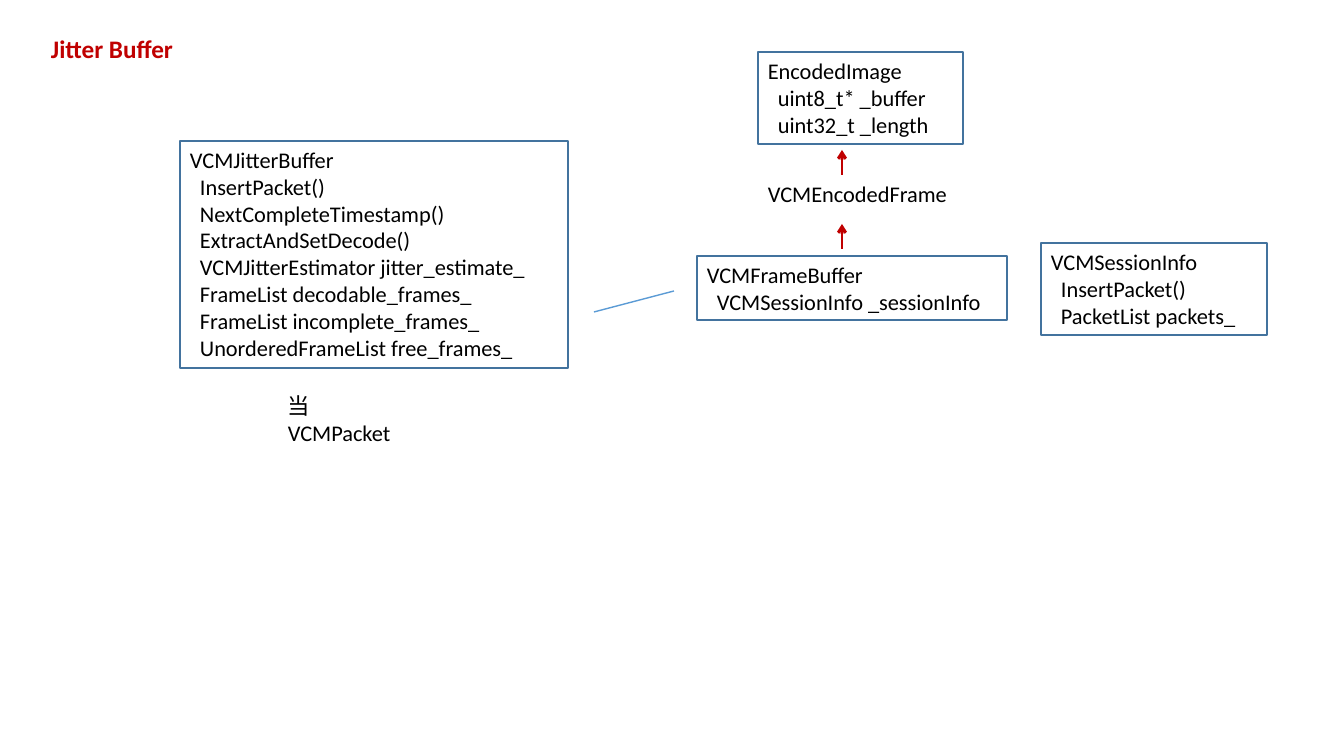
from dataclasses import dataclass

from lxml import etree
from pptx import Presentation
from pptx import util as u
from pptx.dml.color import RGBColor
from pptx.enum import shapes, text
from pptx.oxml import ns

SCALE = 914400 / 100.8  # EMU in one px


def px(length):
    return u.Emu(round(length * SCALE))


@dataclass(frozen=True)
class Theme:
    font: str = "Calibri"
    ink: str = "000000"
    accent: str = "C00000"
    outline: str = "43739E"
    link: str = "5B9BD5"
    body: int = 16
    title: int = 18
    thin: int = 1
    thick: int = 2
    indent: int = 10
    tab: int = 172


class ClassDiagram:
    def __init__(self, page, theme):
        self.page, self.theme = page, theme

    def fill_text(self, shape, lines, **changes):
        """First line is the heading; the others are indented members."""
        frame = shape.text_frame
        settings = {"word_wrap": True, "vertical_anchor": text.MSO_ANCHOR.TOP,
                    "auto_size": text.MSO_AUTO_SIZE.SHAPE_TO_FIT_TEXT}
        for name, value in settings.items():
            setattr(frame, name, value)
        look = {"name": self.theme.font, "size": self.theme.body,
                "bold": False, "color": self.theme.ink} | changes
        look["size"] = u.Pt(look["size"])
        color = RGBColor.from_string(look.pop("color"))
        frame.text = "\n".join(lines)
        for number, para in enumerate(frame.paragraphs):
            para.alignment = text.PP_ALIGN.LEFT
            if number:
                self.indent(para)
            for span in para.runs:
                for name, value in look.items():
                    setattr(span.font, name, value)
                span.font.color.rgb = color

    def indent(self, para):
        props = para._p.get_or_add_pPr()
        props.set("marL", str(px(self.theme.indent)))
        props.set("indent", "0")
        if "\t" in para.text:
            stops = etree.SubElement(props, ns.qn("a:tabLst"))
            etree.SubElement(stops, ns.qn("a:tab"), pos=str(px(self.theme.tab)), algn="l")

    def class_box(self, area, lines):
        box = self.page.shapes.add_shape(shapes.MSO_SHAPE.RECTANGLE, *map(px, area))
        box.shadow.inherit = False
        box.fill.background()
        box.line.color.rgb = RGBColor.from_string(self.theme.outline)
        box.line.width = u.Pt(self.theme.thin)
        self.fill_text(box, lines)

    def label(self, area, line, **changes):
        self.fill_text(self.page.shapes.add_textbox(*map(px, area)), [line], **changes)

    def line(self, ends, color, width, arrow=False):
        link = self.page.shapes.add_connector(shapes.MSO_CONNECTOR.STRAIGHT, *map(px, ends))
        link.line.color.rgb = RGBColor.from_string(color)
        link.line.width = u.Pt(width)
        props = link._element.spPr
        if arrow:
            etree.SubElement(props.find(ns.qn("a:ln")), ns.qn("a:tailEnd"), type="arrow")
        etree.SubElement(props, ns.qn("a:effectLst"))


def main():
    deck = Presentation()
    deck.slide_width, deck.slide_height = px(1344), px(756)
    theme = Theme()
    diagram = ClassDiagram(deck.slides.add_slide(deck.slide_layouts[6]), theme)

    # Classes and their members
    classes = [
        ((180, 141, 388, 227), [
            "VCMJitterBuffer", "InsertPacket()", "NextCompleteTimestamp()",
            "ExtractAndSetDecode()", "VCMJitterEstimator jitter_estimate_",
            "FrameList decodable_frames_", "FrameList incomplete_frames_",
            "UnorderedFrameList free_frames_"]),
        ((697, 256, 310, 64), ["VCMFrameBuffer", "VCMSessionInfo\t_sessionInfo"]),
        ((758, 52, 205, 92), ["EncodedImage", "uint8_t* _buffer", "uint32_t _length"]),
        ((1041, 243, 226, 92), ["VCMSessionInfo", "InsertPacket()", "PacketList packets_"]),
    ]
    for area, lines in classes:
        diagram.class_box(area, lines)

    # Inheritance arrows and the link to the frame buffer
    for bottom in (249, 175):
        diagram.line((842, bottom, 842, bottom - 25), theme.accent, theme.thick, arrow=True)
    diagram.line((594, 312, 674, 291), theme.link, theme.thin)

    # Title and plain labels
    diagram.label((41, 28, 148, 40), "Jitter Buffer",
                  size=theme.title, bold=True, color=theme.accent)
    diagram.label((758, 175, 212, 37), "VCMEncodedFrame")
    diagram.label((278, 387, 147, 37), "当\vVCMPacket")

    deck.save("out.pptx")


if __name__ == "__main__":
    main()
